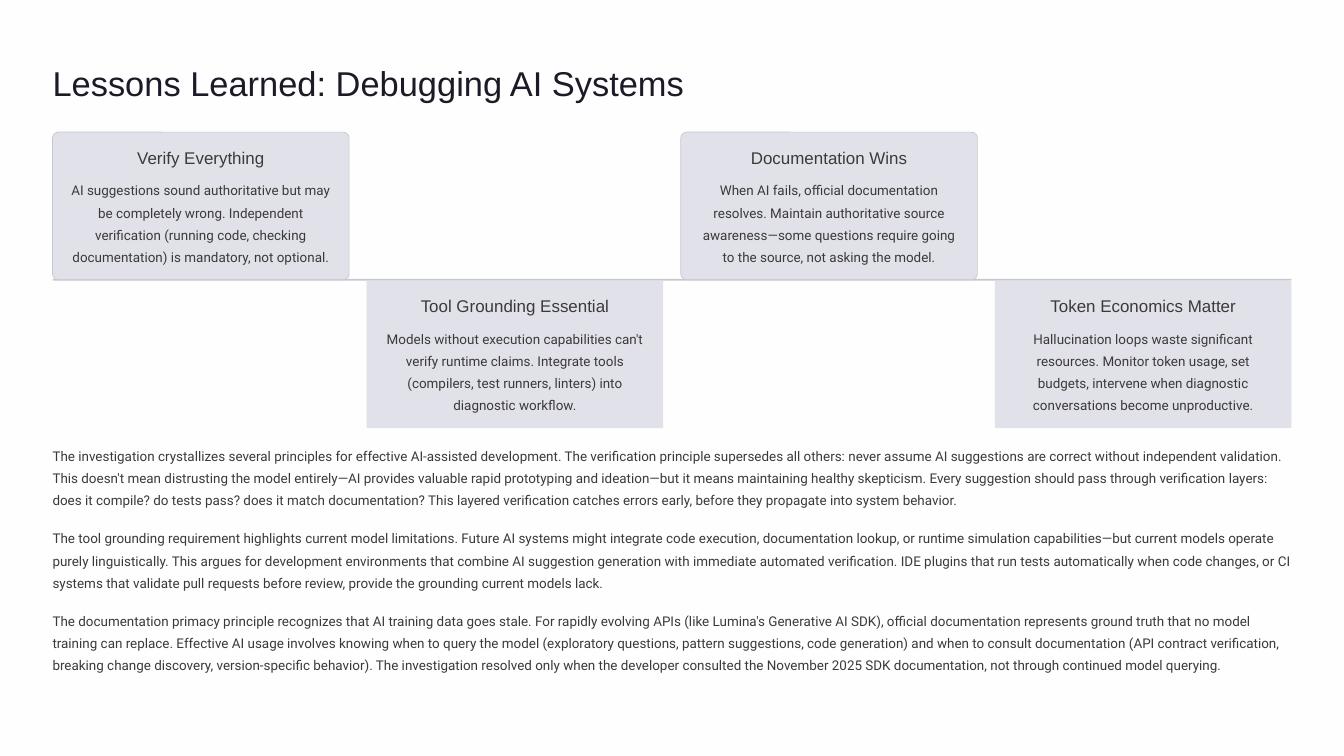
from pptx import Presentation
from pptx.dml.color import RGBColor
from pptx.enum import shapes, text
from pptx.util import Pt

COLORS = {"back": "FEFEFE", "title": "1B1B27", "body": "3C3939",
          "card": "E1E1EA", "line": "C7C7D0"}
LEFT, WIDTH = 45, 1062
AXIS_TOP, AXIS_HEIGHT = 239, 1.5
CARD_GAP, CARD_HEIGHT = 15, 126.5
NOTE_PITCH = 70.5

CARDS = [
    ("Verify Everything",
     "AI suggestions sound authoritative but may be completely wrong. Independent "
     "verification (running code, checking documentation) is mandatory, not optional."),
    ("Tool Grounding Essential",
     "Models without execution capabilities can't verify runtime claims. Integrate tools "
     "(compilers, test runners, linters) into diagnostic workflow."),
    ("Documentation Wins",
     "When AI fails, official documentation resolves. Maintain authoritative source "
     "awareness—some questions require going to the source, not asking the model."),
    ("Token Economics Matter",
     "Hallucination loops waste significant resources. Monitor token usage, set budgets, "
     "intervene when diagnostic conversations become unproductive."),
]
NOTES = [
    "The investigation crystallizes several principles for effective AI-assisted development. "
    "The verification principle supersedes all others: never assume AI suggestions are correct "
    "without independent validation. This doesn't mean distrusting the model entirely—AI provides "
    "valuable rapid prototyping and ideation—but it means maintaining healthy skepticism. Every "
    "suggestion should pass through verification layers: does it compile? do tests pass? does it "
    "match documentation? This layered verification catches errors early, before they propagate "
    "into system behavior.",
    "The tool grounding requirement highlights current model limitations. Future AI systems might "
    "integrate code execution, documentation lookup, or runtime simulation capabilities—but current "
    "models operate purely linguistically. This argues for development environments that combine AI "
    "suggestion generation with immediate automated verification. IDE plugins that run tests "
    "automatically when code changes, or CI systems that validate pull requests before review, "
    "provide the grounding current models lack.",
    "The documentation primacy principle recognizes that AI training data goes stale. For rapidly "
    "evolving APIs (like Lumina's Generative AI SDK), official documentation represents ground truth "
    "that no model training can replace. Effective AI usage involves knowing when to query the model "
    "(exploratory questions, pattern suggestions, code generation) and when to consult documentation "
    "(API contract verification, breaking change discovery, version-specific behavior). The "
    "investigation resolved only when the developer consulted the November 2025 SDK documentation, "
    "not through continued model querying.",
]


def rgb(name):
    return RGBColor.from_string(COLORS[name])


def write(sp, content, font, size, leading, color="body", align=text.PP_ALIGN.LEFT):
    tf = sp.text_frame
    tf.margin_left = tf.margin_top = tf.margin_right = tf.margin_bottom = 0
    tf.word_wrap = True
    tf.auto_size = text.MSO_AUTO_SIZE.NONE
    tf.vertical_anchor = text.MSO_ANCHOR.TOP
    p = tf.paragraphs[0]
    p.alignment = align
    p.line_spacing = Pt(leading)
    r = p.add_run()
    r.text = content
    r.font.name = font
    r.font.size = Pt(size)
    r.font.color.rgb = rgb(color)


def add_text(s, box, *args, **kwargs):
    write(s.shapes.add_textbox(*map(Pt, box)), *args, **kwargs)


def add_block(s, kind, box, fill, line=None):
    sp = s.shapes.add_shape(kind, *map(Pt, box))
    sp.shadow.inherit = False
    sp.fill.solid()
    sp.fill.fore_color.rgb = rgb(fill)
    if line:
        sp.line.color.rgb = rgb(line)
        sp.line.width = Pt(0.6)
    else:
        sp.line.fill.background()
    return sp


def add_title(s, box, content):
    sp = s.shapes.title
    sp.left, sp.top, sp.width, sp.height = map(Pt, box)
    write(sp, content, "Arial", 29.5, 37, "title")


def add_card(s, box, heading, body, rounded):
    x, y, w, h = box
    if rounded:
        sp = add_block(s, shapes.MSO_SHAPE.ROUNDED_RECTANGLE, box, "card", "line")
        sp.adjustments[0] = 0.04
    else:
        add_block(s, shapes.MSO_SHAPE.RECTANGLE, box, "card")
    pad = 12.6
    center = text.PP_ALIGN.CENTER
    add_text(s, (x + pad, y + 12, w - 2 * pad, 19), heading, "Arial", 14.5, 18.5, align=center)
    add_text(s, (x + pad, y + 38, w - 2 * pad, 76), body, "Roboto", 11.5, 19, align=center)


def add_timeline(s, box):
    """Cards alternate above and below a thin axis."""
    x, axis_y, w, axis_h = box
    axis = add_block(s, shapes.MSO_SHAPE.ROUNDED_RECTANGLE, box, "line")
    axis.adjustments[0] = 0.5
    card_w = (w - CARD_GAP * (len(CARDS) - 1)) / len(CARDS)
    for i, (heading, body) in enumerate(CARDS):
        above = i % 2 == 0
        y = axis_y + axis_h / 2 - CARD_HEIGHT if above else axis_y + axis_h
        card = (x + i * (card_w + CARD_GAP), y, card_w, CARD_HEIGHT)
        add_card(s, card, heading, body, rounded=above)


def add_notes(s, box):
    x, y, w, h = box
    for i, note in enumerate(NOTES):
        add_text(s, (x, y + i * NOTE_PITCH, w, h), note, "Roboto", 11.5, 19)


def main():
    prs = Presentation()
    prs.slide_width, prs.slide_height = Pt(1152), Pt(648)
    s = prs.slides.add_slide(prs.slide_layouts[5])
    s.background.fill.solid()
    s.background.fill.fore_color.rgb = rgb("back")
    add_title(s, (LEFT, 52, 586, 37), "Lessons Learned: Debugging AI Systems")
    add_timeline(s, (LEFT, AXIS_TOP, WIDTH, AXIS_HEIGHT))
    add_notes(s, (LEFT, 379, WIDTH, 57))
    prs.save("out.pptx")


if __name__ == "__main__":
    main()
